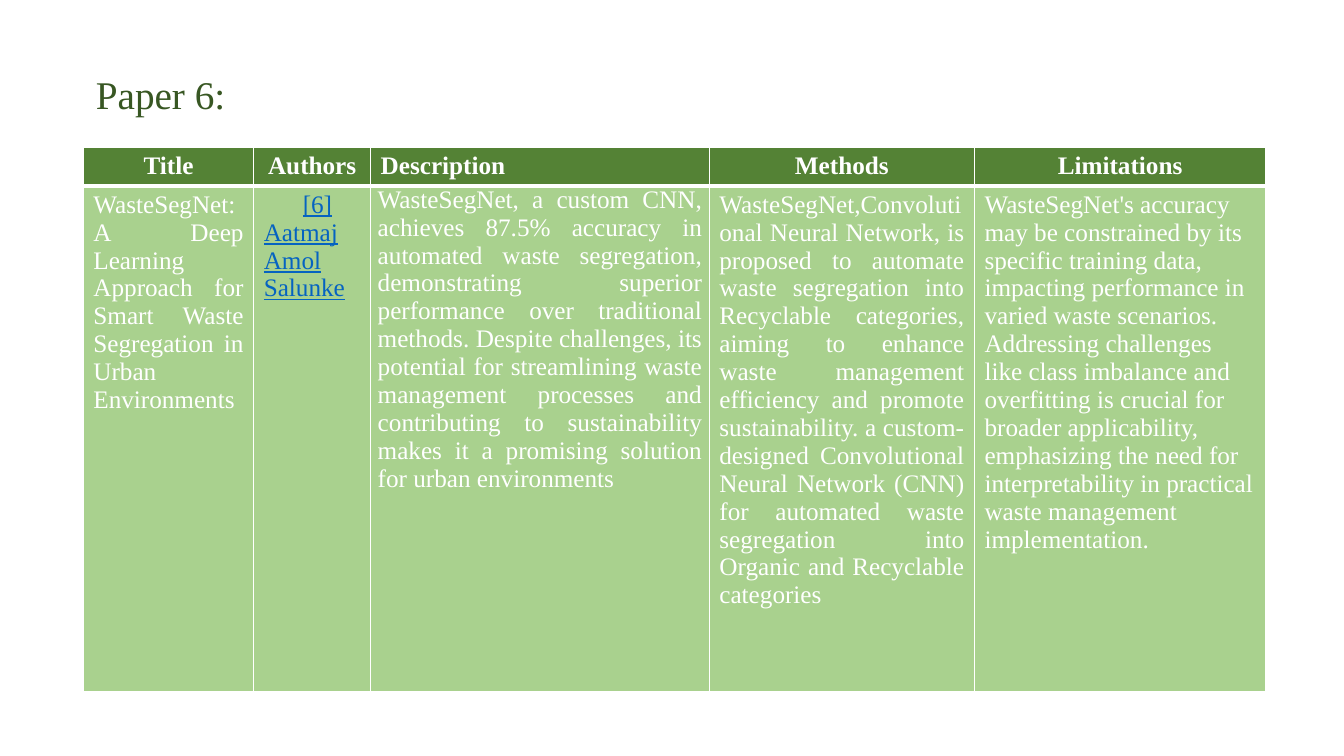
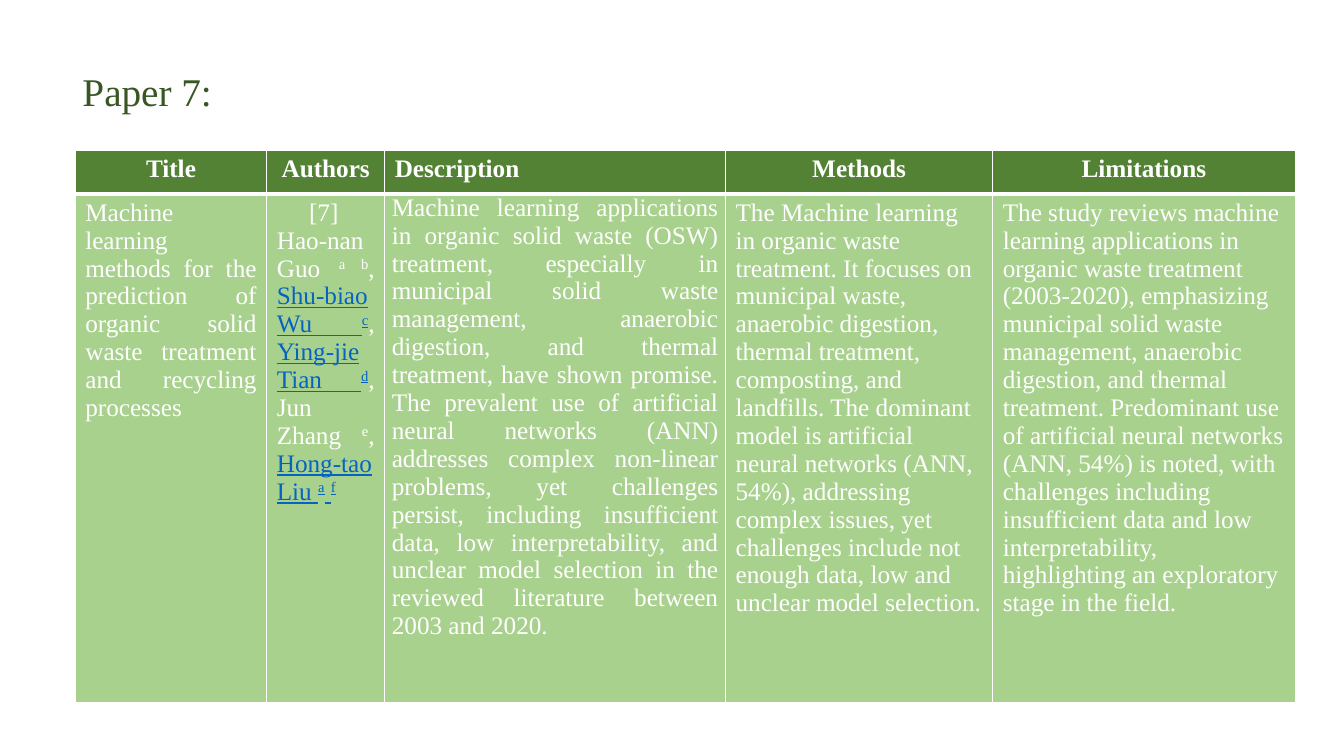
from dataclasses import dataclass
from typing import Any

from lxml import etree
from pptx import Presentation, util as u
from pptx.dml.color import RGBColor
from pptx.enum import text as t
from pptx.oxml import ns

# Shared look
WHITE = RGBColor(0xFF, 0xFF, 0xFF)
DARK = RGBColor(0x38, 0x57, 0x23)
GREEN = RGBColor(0x54, 0x82, 0x35)
PALE = RGBColor(0xA9, 0xD1, 0x8E)
BLUE = RGBColor(0x05, 0x63, 0xC1)
FACE = "Times New Roman"

HEAD = {"name": FACE, "size": u.Pt(28), "color": DARK}
BODY = {"name": FACE, "size": u.Pt(18), "color": WHITE, "bold": False}
BOLD = BODY | {"bold": True}
LINK = {"color": BLUE, "underline": True}

LEFT, MID, JUST = t.PP_ALIGN.LEFT, t.PP_ALIGN.CENTER, t.PP_ALIGN.JUSTIFY
NAMES = ("Title", "Authors", "Description", "Methods", "Limitations")
TIGHT = 2  # column with narrow side margins and no top margin
WIDE, HIGH = u.Inches(13.33), u.Inches(7.5)


@dataclass(frozen=True)
class Run:
    text: str
    link: bool = False
    sup: bool = False


@dataclass(frozen=True)
class Para:
    runs: tuple[Run, ...]
    align: Any = JUST
    dent: float = 0


@dataclass(frozen=True)
class Paper:
    """One slide; lengths are percent of the slide's width or height."""
    title: str
    place: tuple[float, float, float]  # title left, top, width
    left: float
    top: float
    cols: tuple[float, ...]
    rows: tuple[float, float]
    cells: tuple[tuple[Para, ...], ...]


def across(share: float) -> int:
    return u.Emu(round(WIDE * share / 100))


def down(share: float) -> int:
    return u.Emu(round(HIGH * share / 100))


def plain(text: str, align: Any = JUST) -> tuple[Para, ...]:
    return (Para((Run(text),), align),)


def style(font: Any, form: dict[str, Any]) -> None:
    for key, value in form.items():
        if key == "color":
            font.color.rgb = value
        else:
            setattr(font, key, value)


def write(frame: Any, paras: tuple[Para, ...], form: dict[str, Any]) -> None:
    for i, para in enumerate(paras):
        p = frame.add_paragraph() if i else frame.paragraphs[0]
        p.alignment = para.align
        if para.dent:
            p._p.get_or_add_pPr().set("indent", str(across(para.dent)))
        for item in para.runs:
            run = p.add_run()
            run.text = item.text
            style(run.font, form | (LINK if item.link else {}))
            if item.sup:
                run._r.get_or_add_rPr().set("baseline", "30000")


def edge(cell: Any, widths: dict[str, float]) -> None:
    """Draw white borders, placed ahead of the cell's fill."""
    props = cell._tc.get_or_add_tcPr()
    for i, (side, width) in enumerate(widths.items()):
        line = etree.Element(ns.qn(f"a:ln{side}"), w=str(u.Pt(width)))
        fill = etree.SubElement(line, ns.qn("a:solidFill"))
        etree.SubElement(fill, ns.qn("a:srgbClr"), val=str(WHITE))
        props.insert(i, line)


def fill_cell(cell: Any, paras: tuple[Para, ...], top: bool) -> None:
    cell.fill.solid()
    cell.fill.fore_color.rgb = GREEN if top else PALE
    edge(cell, {"L": 1, "R": 1, "T": 1 if top else 3, "B": 3 if top else 1})
    write(cell.text_frame, paras, BOLD if top else BODY)


def add_title(slide: Any, paper: Paper) -> None:
    left, top, width = paper.place
    box = slide.shapes.add_textbox(across(left), down(top), across(width), down(7.6))
    box.text_frame.word_wrap = True
    write(box.text_frame, plain(paper.title, LEFT), HEAD)


def add_grid(slide: Any, paper: Paper) -> None:
    grid = slide.shapes.add_table(
        2, len(NAMES), across(paper.left), down(paper.top),
        across(sum(paper.cols)), down(sum(paper.rows))).table
    grid.horz_banding = False
    for row, share in zip(grid.rows, paper.rows):
        row.height = down(share)
    for i, (name, share) in enumerate(zip(NAMES, paper.cols)):
        grid.columns[i].width = across(share)
        fill_cell(grid.cell(0, i), plain(name, LEFT if i == TIGHT else MID), True)
        cell = grid.cell(1, i)
        if i == TIGHT:
            cell.margin_left = cell.margin_right = across(0.53)
            cell.margin_top = cell.margin_bottom = 0
        fill_cell(cell, paper.cells[i], False)


# Content
PAPERS = (
    Paper(
        "Paper 6:", (6.4, 8.67, 88.7), 6.2, 19.5,
        (12.68, 8.7, 25.2, 19.73, 21.68), (5.07, 66.93),
        (
            plain("WasteSegNet: A Deep Learning Approach for Smart Waste "
                  "Segregation in Urban Environments"),
            (Para((Run("[6]", link=True),), dent=2.9),
             Para((Run("Aatmaj Amol Salunke", link=True),), LEFT)),
            plain("WasteSegNet, a custom CNN, achieves 87.5% accuracy in automated "
                  "waste segregation, demonstrating superior performance over "
                  "traditional methods. Despite challenges, its potential for "
                  "streamlining waste management processes and contributing to "
                  "sustainability makes it a promising solution for urban "
                  "environments"),
            plain("WasteSegNet,Convolutional Neural Network, is proposed to automate "
                  "waste segregation into Recyclable categories, aiming to enhance "
                  "waste management efficiency and promote sustainability. a "
                  "custom-designed Convolutional Neural Network (CNN) for automated "
                  "waste segregation into Organic and Recyclable categories"),
            plain("WasteSegNet's accuracy may be constrained by its specific training "
                  "data, impacting performance in varied waste scenarios. Addressing "
                  "challenges like class imbalance and overfitting is crucial for "
                  "broader applicability, emphasizing the need for interpretability "
                  "in practical waste management implementation.", LEFT),
        )),
    Paper(
        "Paper 7:", (5.4, 8.27, 91.2), 5.6, 19.9,
        (14.25, 8.78, 25.36, 19.88, 22.5), (5.73, 67.33),
        (
            plain("Machine learning methods for the prediction of organic solid "
                  "waste treatment and recycling processes"),
            (Para((Run("[7]"),), dent=2.4),
             Para((
                 Run("Hao-nan Guo "), Run("a b", sup=True), Run(", "),
                 Run("Shu-biao Wu ", link=True), Run("c", link=True, sup=True),
                 Run(", "),
                 Run("Ying-jie Tian ", link=True), Run("d", link=True, sup=True),
                 Run(", Jun Zhang "), Run("e", sup=True), Run(", "),
                 Run("Hong-tao Liu ", link=True), Run("a", link=True, sup=True),
                 Run(" ", link=True), Run("f", link=True, sup=True)))),
            plain("Machine learning applications in organic solid waste (OSW) "
                  "treatment, especially in municipal solid waste management, "
                  "anaerobic digestion, and thermal treatment, have shown promise. "
                  "The prevalent use of artificial neural networks (ANN) addresses "
                  "complex non-linear problems, yet challenges persist, including "
                  "insufficient data, low interpretability, and unclear model "
                  "selection in the reviewed literature between 2003 and 2020."),
            plain("The Machine learning in organic waste treatment. It focuses on "
                  "municipal waste, anaerobic digestion, thermal treatment, "
                  "composting, and landfills. The dominant model is artificial "
                  "neural networks (ANN, 54%), addressing complex issues, yet "
                  "challenges include not enough data, low and unclear model "
                  "selection.", LEFT),
            plain("The study reviews machine learning applications in organic waste "
                  "treatment (2003-2020), emphasizing municipal solid waste "
                  "management, anaerobic digestion, and thermal treatment. "
                  "Predominant use of artificial neural networks (ANN, 54%) is "
                  "noted, with challenges including insufficient data and low "
                  "interpretability, highlighting an exploratory stage in the "
                  "field.", LEFT),
        )),
)


def main() -> None:
    deck = Presentation()
    deck.slide_width, deck.slide_height = WIDE, HIGH
    for paper in PAPERS:
        slide = deck.slides.add_slide(deck.slide_layouts[6])
        add_grid(slide, paper)
        add_title(slide, paper)
    deck.save("out.pptx")


if __name__ == "__main__":
    main()
